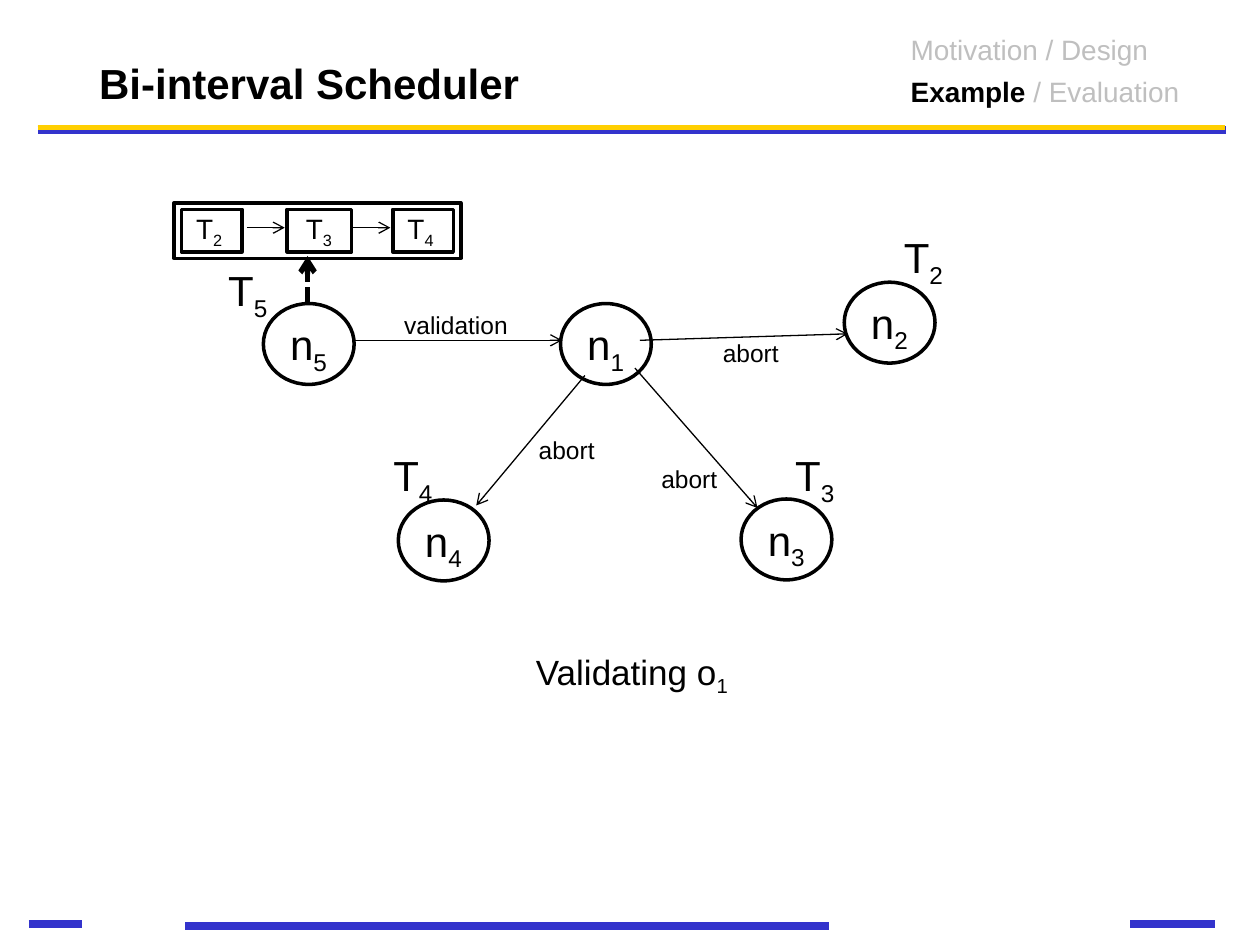
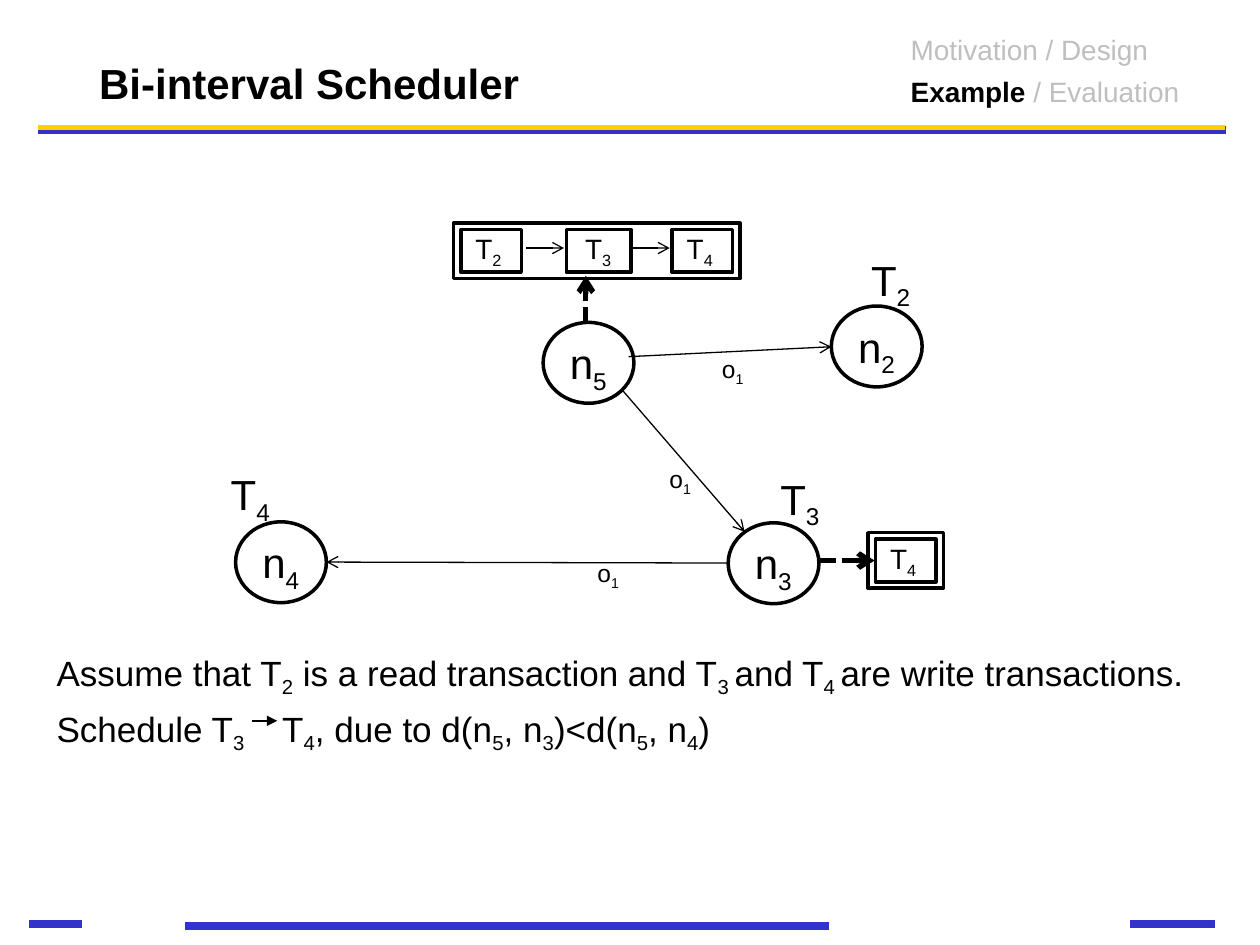
"""Builds two slides that walk through a Bi-interval Scheduler example."""
from lxml import etree
from pptx import Presentation
from pptx import util as u
from pptx.dml import color
from pptx.enum import dml, shapes, text
from pptx.oxml import ns

COLORS = {"ink": "000000", "paper": "FFFFFF", "muted": "BFBFBF",
          "blue": "3333CC", "gold": "FFCF01"}
FONT = "Arial"
SPACE_BEFORE = 4.8
LEFT, CENTER, RIGHT = text.PP_ALIGN.LEFT, text.PP_ALIGN.CENTER, text.PP_ALIGN.RIGHT

TITLE = "Bi-interval Scheduler"
PROGRESS = ["Motivation / Design", "{Example} / Evaluation"]
BANDS = [
    ((0.76, 2.62, 24.71, 2.62), "blue", 4.5),
    ((3.73, 18.67, 16.71, 18.67), "blue", 4.5),
    ((22.78, 18.62, 24.49, 18.62), "blue", 4.5),
    ((0.76, 2.57, 24.69, 2.57), "gold", 3),
    ((0.58, 18.62, 1.65, 18.62), "blue", 4.5),
]

NODE_W, NODE_H = 1.83, 1.63
CELL_W, CELL_H, CELL_STEP = 1.22, 0.86, 2.13
PAD_X, PAD_Y = 0.15, 0.13
FULL_QUEUE = [("T{2}", 1.22), ("T{3}", 1.3), ("T{4}", 1.22)]

SLIDES = [
    {
        "nodes": [
            ("n{2}", (17.02, 5.69), "T{2}", (17.91, 4.55)),
            ("n{5}", (5.31, 6.12), "T{5}", (4.29, 5.21)),
            ("n{4}", (8.03, 10.08), "T{4}", (7.62, 8.94)),
            ("n{3}", (14.94, 10.06), "T{3}", (15.72, 8.94)),
            ("n{1}", (11.3, 6.12), None, None),
        ],
        "messages": [
            ((7.16, 6.86, 11.33, 6.86), "validation", (7.87, 6.12, 2.62)),
            ((11.79, 7.57, 9.6, 10.19), "abort", (10.59, 8.64, 1.65)),
            ((12.9, 6.86, 17.09, 6.73), "abort", (14.3, 6.68, 1.65)),
            ((12.8, 7.42, 15.27, 10.24), "abort", (13.06, 9.22, 1.65)),
        ],
        "queues": [((3.51, 4.09), FULL_QUEUE, (6.2, 6.1, 6.2, 5.16))],
        "caption": (["Validating o{1}"], (1.4, 12.98, 22.68, 1.78), CENTER),
        "inline_arrows": [],
    },
    {
        "nodes": [
            ("n{2}", (16.76, 6.17), "T{2}", (17.25, 5.0)),
            ("n{5}", (10.95, 6.5), None, None),
            ("n{4}", (4.75, 10.52), "T{4}", (4.34, 9.32)),
            ("n{3}", (14.68, 10.54), "T{3}", (15.42, 9.42)),
        ],
        "messages": [
            ((12.67, 7.19, 16.76, 6.99), "o{1}", (14.27, 7.01, 0.97)),
            ((12.55, 7.87, 15.01, 10.72), "o{1}", (13.21, 9.22, 0.97)),
            ((14.68, 11.35, 6.58, 11.33), "o{1}", (11.76, 11.13, 0.97)),
        ],
        "queues": [
            ((9.14, 4.5), FULL_QUEUE, (11.81, 6.5, 11.81, 5.56)),
            ((17.5, 10.74), [("T{4}", 1.22)], (16.54, 11.3, 17.63, 11.3)),
        ],
        "caption": (
            ["Assume that T{2} is a read transaction and T{3 }and T{4 }are write transactions.",
             "Schedule T{3}\tT{4}, due to d(n{5}, n{3})<d(n{5}, n{4})"],
            (0.89, 13.0, 23.57, 2.13), LEFT),
        "inline_arrows": [(5.08, 14.53, 5.59, 14.53)],
    },
]
CAPTION_TAB = 4.55


def rgb(name):
    return color.RGBColor.from_string(COLORS[name])


def cm(values):
    return [u.Cm(value) for value in values]


def subscript(span):
    span.font._element.set("baseline", "-25000")


def emphasise(span):
    span.font.bold = True
    span.font.color.rgb = rgb("ink")


def add_text(parent, lines, place, size, align=LEFT, ink="ink", bold=False,
             wrap=True, accent=subscript, before=SPACE_BEFORE, tab=None):
    box = parent.shapes.add_textbox(*cm(place))
    frame = box.text_frame
    frame.word_wrap = wrap
    if not wrap:
        frame.auto_size = text.MSO_AUTO_SIZE.SHAPE_TO_FIT_TEXT
    for number, line in enumerate(lines):
        para = frame.add_paragraph() if number else frame.paragraphs[0]
        para.alignment = align
        para.space_before = u.Pt(before)
        if tab and "\t" in line:
            stops = etree.SubElement(para._p.get_or_add_pPr(), ns.qn("a:tabLst"))
            etree.SubElement(stops, ns.qn("a:tab"), pos=str(u.Cm(tab)), algn="l")
        para.font.name, para.font.size = FONT, u.Pt(size)
        para.font.bold, para.font.color.rgb = bold, rgb(ink)
        for index, piece in enumerate(line.replace("}", "{").split("{")):
            if piece:
                span = para.add_run()
                span.text = piece
                if index % 2:
                    accent(span)
    return box


def add_label(parent, label, place, size, align=RIGHT):
    return add_text(parent, [label], place, size, align, wrap=False)


def add_outline(parent, preset, place, filled=True):
    shape = parent.shapes.add_shape(preset, *cm(place))
    shape.shadow.inherit = False
    if filled:
        shape.fill.solid()
        shape.fill.fore_color.rgb = rgb("paper")
    else:
        shape.fill.background()
    shape.line.color.rgb = rgb("ink")
    shape.line.width = u.Pt(2)


def add_line(page, ends, ink="ink", width=0.75, head=None, dashed=False):
    line = page.shapes.add_connector(shapes.MSO_CONNECTOR.STRAIGHT, *cm(ends))
    line.line.color.rgb = rgb(ink)
    line.line.width = u.Pt(width)
    if dashed:
        line.line.dash_style = dml.MSO_LINE.SQUARE_DOT
    if head:
        etree.SubElement(line.line._get_or_add_ln(), ns.qn("a:tailEnd"), type=head)
    etree.SubElement(line._element.spPr, ns.qn("a:effectLst"))


def add_node(page, name, corner, tag, tag_corner):
    group = page.shapes.add_group_shape()
    left, top = corner
    add_outline(group, shapes.MSO_SHAPE.OVAL, (left, top, NODE_W, NODE_H))
    if tag:
        add_label(group, tag, (*tag_corner, 1.35, 1.27), 24)
    add_label(group, name, (left + 0.26, top + 0.18, 1.3, 1.27), 24, CENTER)


def add_queue(page, corner, cells, pointer):
    left, top = corner
    for index, (name, width) in enumerate(cells):
        x, y = left + PAD_X + index * CELL_STEP, top + PAD_Y
        add_outline(page, shapes.MSO_SHAPE.RECTANGLE, (x, y, width, CELL_H))
        add_label(page, name, (x + width - CELL_W, y - 0.08, 1.07, 0.94), 16)
        if index < len(cells) - 1:
            add_line(page, (x + 1.32, top + 0.5, x + 2.08, top + 0.5), head="arrow")
    frame_width = 2 * PAD_X + CELL_W + (len(cells) - 1) * CELL_STEP
    add_outline(page, shapes.MSO_SHAPE.RECTANGLE,
                (left, top, frame_width, CELL_H + 2 * PAD_Y), filled=False)
    add_line(page, pointer, width=3, head="arrow", dashed=True)


def add_page(deck):
    page = deck.slides.add_slide(deck.slide_layouts[6])
    for ends, ink, width in BANDS:
        add_line(page, ends, ink, width)
    title = add_text(page, [TITLE], (1.75, 0.61, 21.39, 1.7), 24, bold=True, before=0)
    title.text_frame.vertical_anchor = text.MSO_ANCHOR.BOTTOM
    add_text(page, PROGRESS, (18.11, 0.53, 6.22, 1.75), 16, ink="muted", accent=emphasise)
    return page


def build():
    deck = Presentation()
    deck.slide_width, deck.slide_height = u.Cm(25.4), u.Cm(19.05)
    for content in SLIDES:
        page = add_page(deck)
        for node in content["nodes"]:
            add_node(page, *node)
        for ends, label, (left, top, width) in content["messages"]:
            add_line(page, ends, head="arrow")
            add_label(page, label, (left, top, width, 0.86), 14)
        for queue in content["queues"]:
            add_queue(page, *queue)
        lines, place, align = content["caption"]
        add_text(page, lines, place, 20, align, tab=CAPTION_TAB)
        for ends in content["inline_arrows"]:
            add_line(page, ends, width=1.25, head="triangle")
    deck.save("out.pptx")


build()
